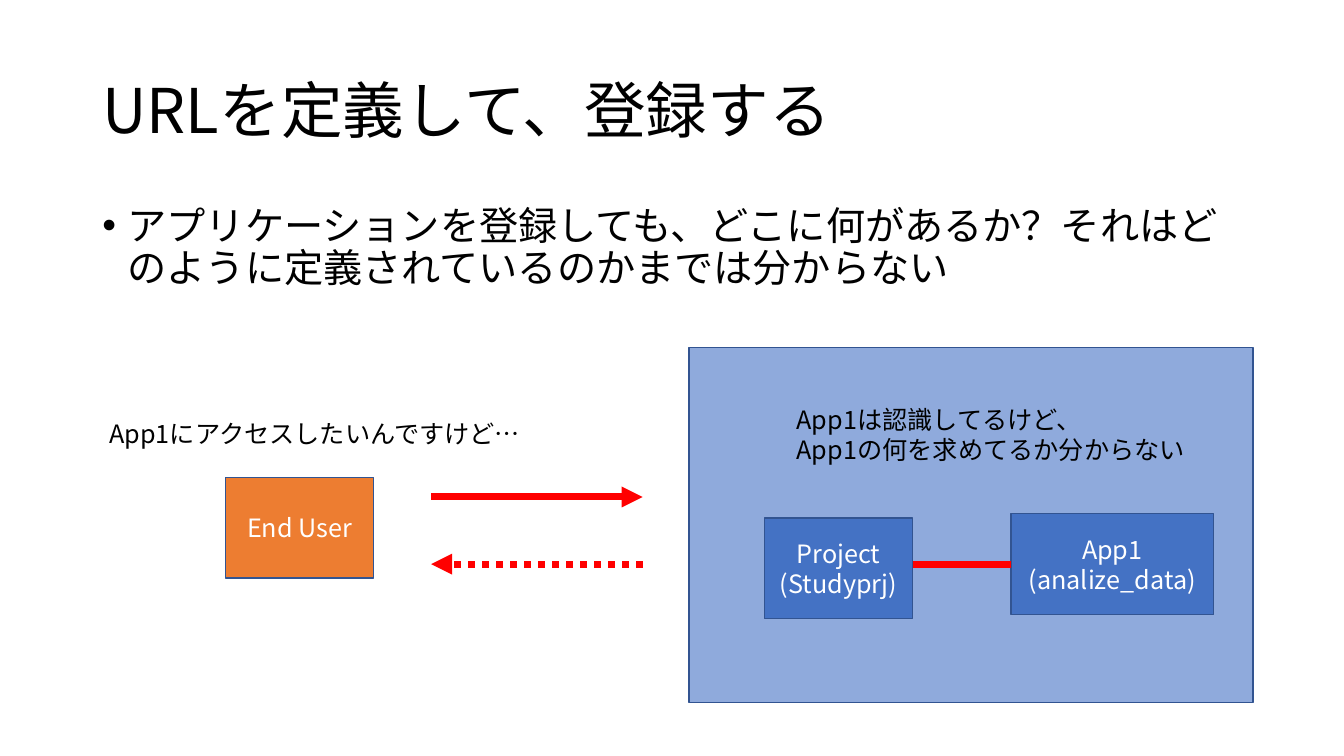
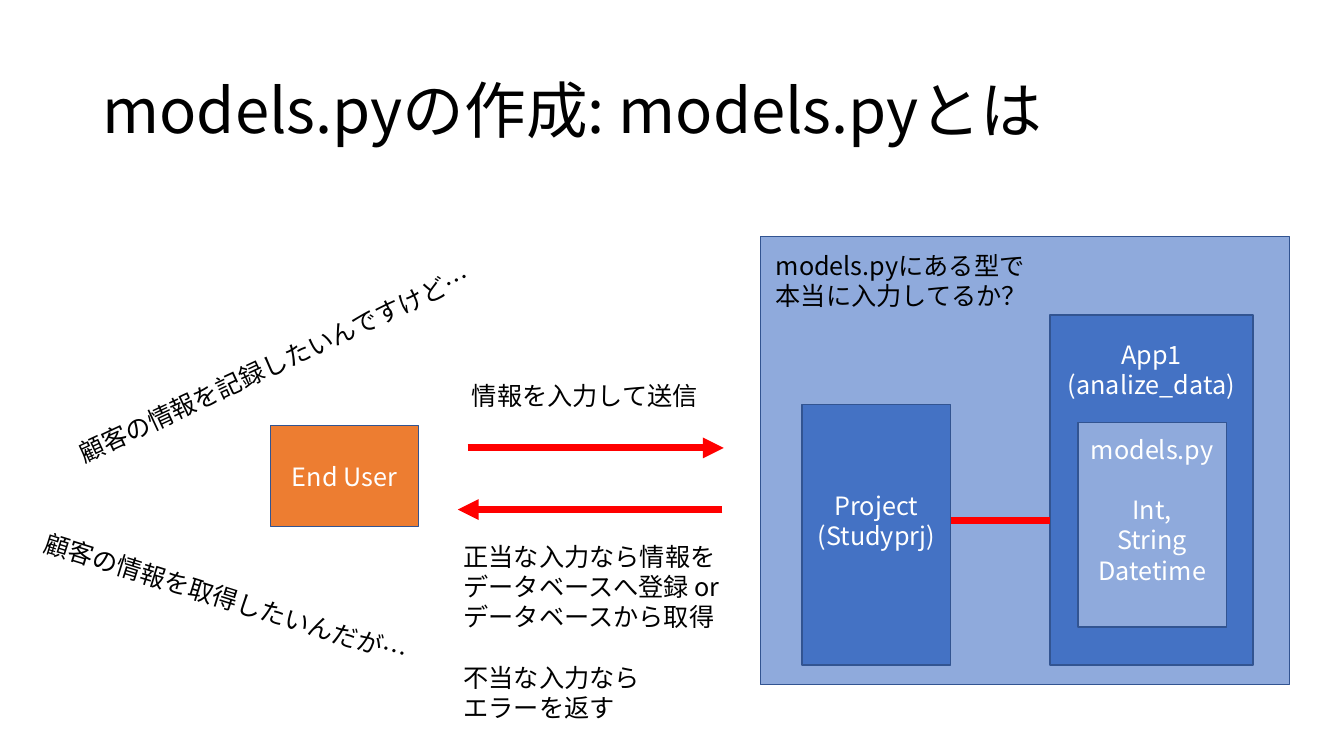
from pptx import Presentation
from pptx.dml.color import RGBColor
from pptx.enum.dml import MSO_LINE
from pptx.enum.shapes import MSO_CONNECTOR, MSO_SHAPE
from pptx.enum.text import MSO_ANCHOR, MSO_AUTO_SIZE, PP_ALIGN
from pptx.oxml.ns import qn
from pptx.util import Pt
from lxml import etree

LEFT, CENTER = PP_ALIGN.LEFT, PP_ALIGN.CENTER
TOP, MIDDLE = MSO_ANCHOR.TOP, MSO_ANCHOR.MIDDLE
NO_FIT = MSO_AUTO_SIZE.NONE
RECTANGLE, STRAIGHT = MSO_SHAPE.RECTANGLE, MSO_CONNECTOR.STRAIGHT
DOTTED = MSO_LINE.ROUND_DOT

FONT = "Noto Sans CJK JP"
BLACK = RGBColor(0x00, 0x00, 0x00)
WHITE = RGBColor(0xFF, 0xFF, 0xFF)
RED = RGBColor(0xFF, 0x00, 0x00)
ORANGE = RGBColor(0xED, 0x7D, 0x31)
BLUE = RGBColor(0x44, 0x72, 0xC4)
PALE_BLUE = RGBColor(0x8F, 0xAA, 0xDC)
OUTLINE = RGBColor(0x32, 0x54, 0x91)

# The slide is a grid of 96 columns and 54 rows of square cells.
COLUMNS, ROWS = 96, 54
CELL = Pt(10)
TEXT_SIZE, LINE_HEIGHT = 18, 21.6
TITLE_FRAME = (6.6, 2.9, 82.8, 10.4)
BODY_FRAME = (6.6, 14.4, 82.8, 8.6)
SMALL_BOX = (10.6, 7.2)
APP_LINES = ["App1", "(analize_data)"]
PROJECT_LINES = ["Project", "(Studyprj)"]


def cells(*counts):
    """Turn counts of grid cells into lengths."""
    return [round(count * CELL) for count in counts]


def write(frame, lines, size, color, align, spacing=None):
    """Write one paragraph a line; an empty line becomes space before the next."""
    frame.word_wrap = True
    frame.auto_size = NO_FIT
    para, gap = frame.paragraphs[0], 0
    for number, line in enumerate(lines):
        if not line:
            gap = LINE_HEIGHT
            continue
        if number:
            para = frame.add_paragraph()
        para.alignment = align
        para.space_before = Pt(gap)
        para.line_spacing = spacing
        gap = 0
        span = para.add_run()
        span.text = line
        span.font.name = FONT
        span.font.size = Pt(size)
        span.font.color.rgb = color
        east_asian = etree.SubElement(span.font._element, qn("a:ea"))
        east_asian.set("typeface", FONT)


# boxes: frame, fill, lines, top inset in cells (None centres the text)
# labels: frame, rotation, lines
# lines: start, end, has arrowhead, dash
PAGES = [
    {
        "title": "URLを定義して、登録する",
        "body": "アプリケーションを登録しても、どこに何があるか？"
                "それはどのように定義されているのかまでは分からない",
        "boxes": [
            ((49.2, 24.8, 40.3, 25.4), PALE_BLUE, [], None),
            ((72.2, 36.7, 14.5, 7.2), BLUE, APP_LINES, None),
            ((54.6, 37, *SMALL_BOX), BLUE, PROJECT_LINES, None),
            ((16.1, 34.1, *SMALL_BOX), ORANGE, ["End User"], None),
        ],
        "labels": [
            ((7.1, 29.5, 31.7, 2.9), 0, ["App1にアクセスしたいんですけど…"]),
            ((56.2, 28.5, 29.4, 5.1), 0,
             ["App1は認識してるけど、", "App1の何を求めてるか分からない"]),
        ],
        "lines": [
            ((65.2, 40.3), (72.2, 40.3), False, None),
            ((30.8, 35.5), (45.9, 35.5), True, None),
            ((45.9, 40.3), (30.8, 40.3), True, DOTTED),
        ],
    },
    {
        "title": "models.pyの作成: models.pyとは",
        "body": None,
        "boxes": [
            ((54.3, 16.9, 37.8, 32), PALE_BLUE, [], None),
            ((75, 22.5, 14.5, 25), BLUE, APP_LINES, 1.7),
            ((57.3, 28.9, 10.6, 18.6), BLUE, PROJECT_LINES, 6.1),
            ((77, 30.2, 10.6, 14.6), PALE_BLUE,
             ["models.py", "", "Int,", "String", "Datetime"], 0.8),
            ((19.3, 30.4, *SMALL_BOX), ORANGE, ["End User"], None),
        ],
        "labels": [
            ((54.7, 17.5, 21, 5.1), 0, ["models.pyにある型で", "本当に入力してるか？"]),
            ((3.6, 24.5, 32.3, 2.9), 335.1, ["顧客の情報を記録したいんですけど…"]),
            ((33, 26.8, 18.5, 2.9), 0, ["情報を入力して送信"]),
            ((32.4, 38.3, 21.5, 13.8), 0,
             ["正当な入力なら情報を", "データベースへ登録 or", "データベースから取得",
              "", "不当な入力なら", "エラーを返す"]),
            ((1.9, 41.3, 28.7, 2.9), 17.3, ["顧客の情報を取得したいんだが…"]),
        ],
        "lines": [
            ((67.9, 37.2), (75, 37.2), False, None),
            ((33.4, 32), (51.7, 32), True, None),
            ((51.6, 36.4), (32.7, 36.4), True, None),
        ],
    },
]

deck = Presentation()
width_ratio = COLUMNS * CELL / deck.slide_width
deck.slide_width, deck.slide_height = cells(COLUMNS, ROWS)

# Keep two layouts and fit the master they inherit from to the wide slide.
list_layout, title_layout = deck.slide_layouts[1], deck.slide_layouts[5]
for layout in list(deck.slide_layouts):
    if layout.name not in (list_layout.name, title_layout.name):
        deck.slide_layouts.remove(layout)
for number, holder in enumerate(deck.slide_master.placeholders):
    if number < 2:
        frame = (TITLE_FRAME, BODY_FRAME)[number]
        holder.left, holder.top, holder.width, holder.height = cells(*frame)
    else:
        holder.left = round(holder.left * width_ratio)
        holder.width = round(holder.width * width_ratio)

for content in PAGES:
    page = deck.slides.add_slide(list_layout if content["body"] else title_layout)
    write(page.shapes.title.text_frame, [content["title"]], 44, BLACK, LEFT, 0.9)
    if content["body"]:
        body = page.placeholders[1].text_frame
        write(body, [content["body"]], 28, BLACK, LEFT, 0.9)
        properties = body.paragraphs[0]._p.get_or_add_pPr()
        properties.set("marL", str(Pt(18)))
        properties.set("indent", str(-Pt(18)))

    for frame, fill, lines, inset in content["boxes"]:
        box = page.shapes.add_shape(RECTANGLE, *cells(*frame))
        box.shadow.inherit = False
        box.fill.solid()
        box.fill.fore_color.rgb = fill
        box.line.color.rgb = OUTLINE
        box.line.width = Pt(1)
        box.text_frame.vertical_anchor = MIDDLE
        if inset is not None:
            box.text_frame.vertical_anchor = TOP
            box.text_frame.margin_top = cells(inset)[0]
        write(box.text_frame, lines, TEXT_SIZE, WHITE, CENTER)

    for frame, rotation, lines in content["labels"]:
        label = page.shapes.add_textbox(*cells(*frame))
        label.rotation = rotation
        write(label.text_frame, lines, TEXT_SIZE, BLACK, LEFT)

    for start, end, has_arrowhead, dash in content["lines"]:
        connector = page.shapes.add_connector(STRAIGHT, *cells(*start, *end))
        connector.line.color.rgb = RED
        connector.line.width = Pt(5)
        if dash:
            connector.line.dash_style = dash
        if has_arrowhead:
            tip = etree.SubElement(connector.line._get_or_add_ln(), qn("a:tailEnd"))
            tip.set("type", "triangle")
        etree.SubElement(connector._element.spPr, qn("a:effectLst"))

deck.save("out.pptx")
